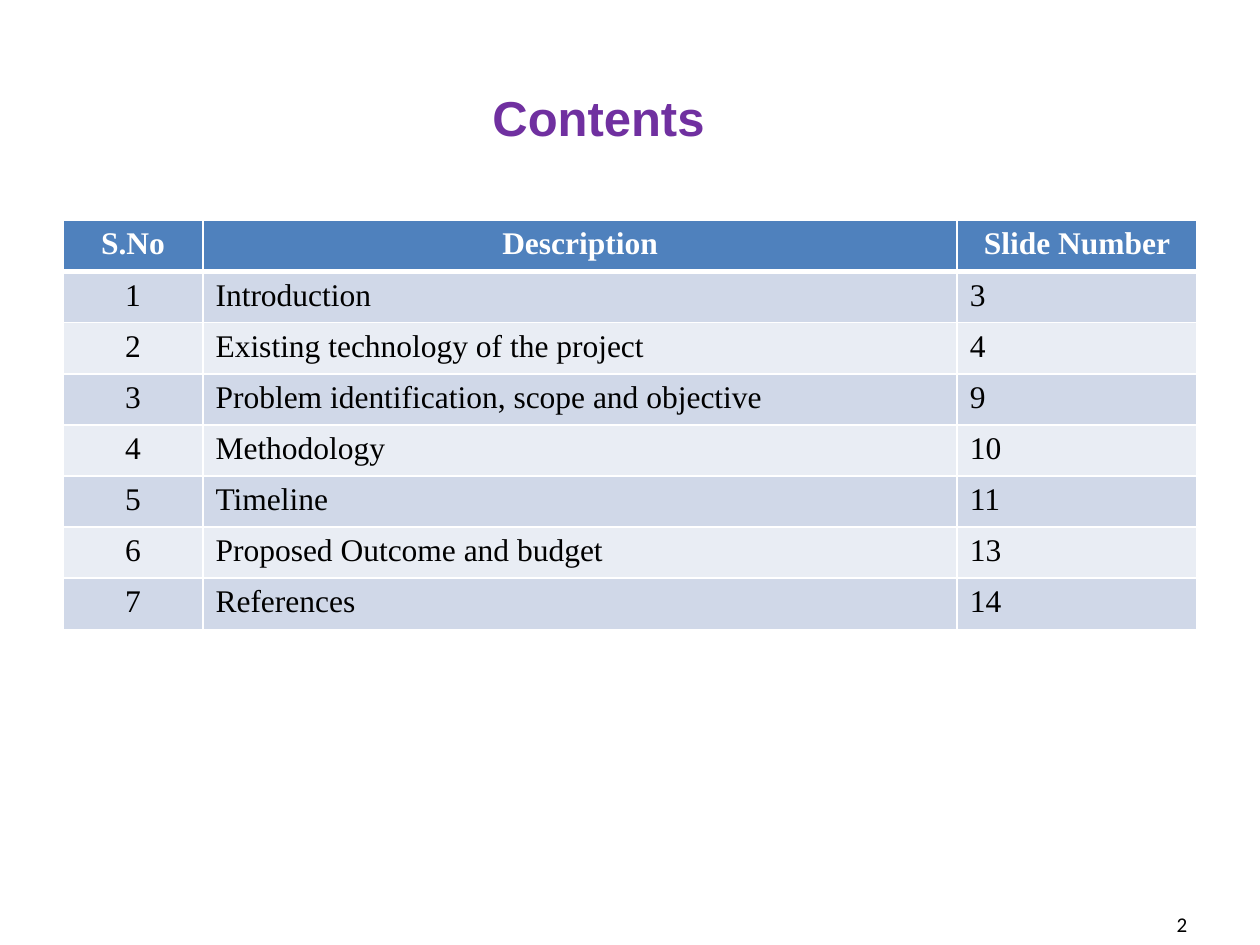
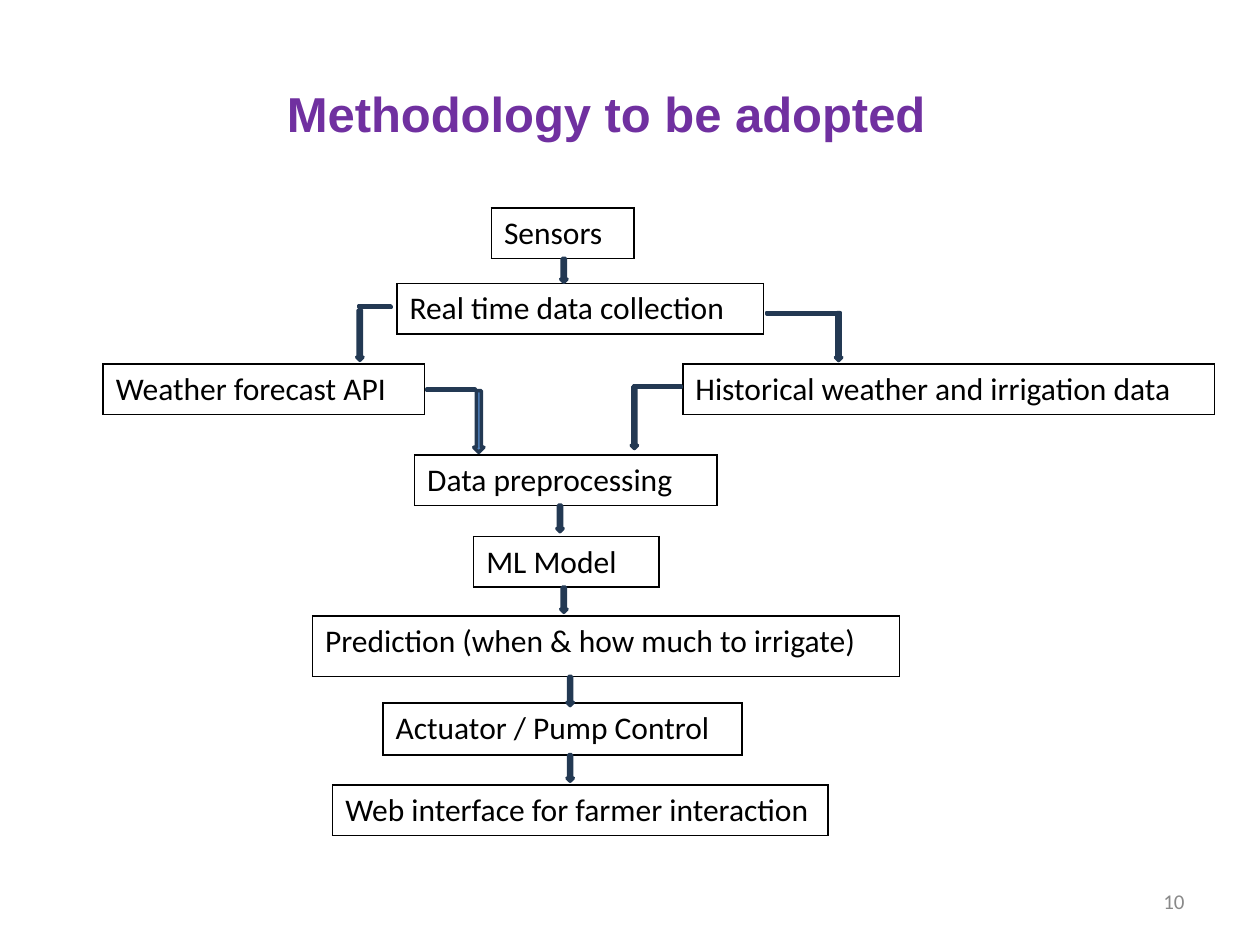
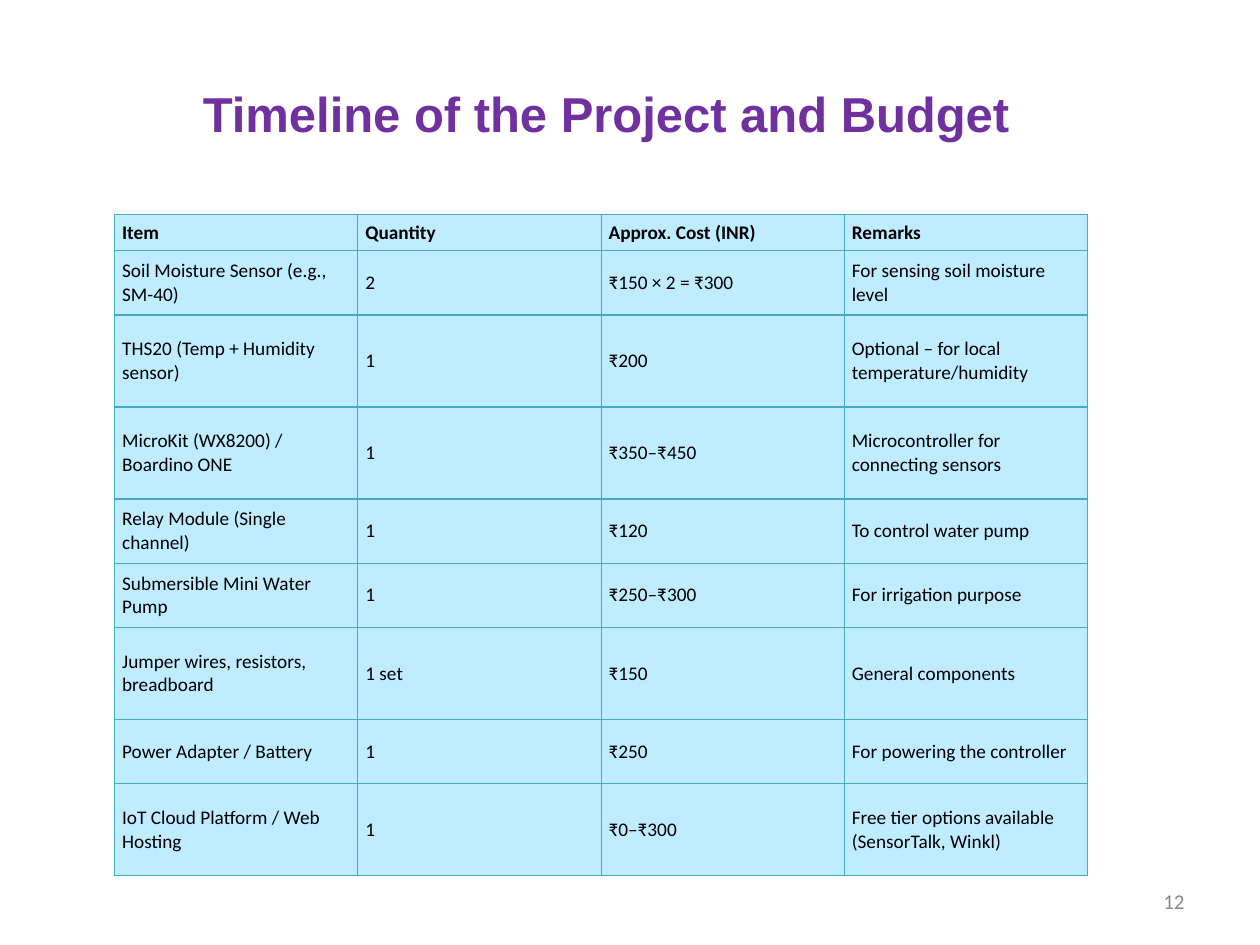
"""Build three slides on a smart irrigation project: contents, methodology and budget."""
from itertools import cycle

from lxml.etree import SubElement
from pptx import Presentation
from pptx.dml.color import RGBColor
from pptx.enum.shapes import MSO_SHAPE as SHAPE
from pptx.enum.text import MSO_ANCHOR as ANCHOR, PP_ALIGN as ALIGN
from pptx.oxml.ns import qn
from pptx.util import Pt

PURPLE, BLACK, WHITE, GREY = "7030A0", "000000", "FFFFFF", "898989"
BLUE, NAVY, TEAL, SKY = "4F81BD", "233953", "46AAC5", "BFECFF"
BANDS = ["D0D8E8", "E9EDF4"]
rgb = RGBColor.from_string


def write(frame, text, size=18, font="Calibri", colour=BLACK, bold=False, align=ALIGN.LEFT):
    para = frame.paragraphs[0]
    para.alignment = align
    span = para.add_run()
    span.text = text
    span.font.size = Pt(size)
    span.font.name = font
    span.font.bold = bold
    span.font.color.rgb = rgb(colour)


def draw_grid(page, left, top, widths, heights, rows, edge, fills=(None,), edge_width=1,
              rule_width=None, margins=(7.2, 3.6), anchor=ANCHOR.TOP, header=None, **style):
    frame = page.shapes.add_table(len(rows), len(widths), Pt(left), Pt(top),
                                  Pt(sum(widths)), Pt(sum(heights)))
    table = frame.table
    table.first_row = table.horz_banding = False
    for column, width in zip(table.columns, widths):
        column.width = Pt(width)
    for index, (row, height, texts, fill) in enumerate(zip(table.rows, heights, rows, fills)):
        row.height = Pt(height)
        for cell, text in zip(row.cells, texts):
            cell.margin_left = cell.margin_right = Pt(margins[0])
            cell.margin_top = cell.margin_bottom = Pt(margins[1])
            cell.vertical_anchor = anchor
            properties = cell._tc.get_or_add_tcPr()
            for side in "LRTB":
                ruled = rule_width and (index, side) in [(0, "B"), (1, "T")]
                width = rule_width if ruled else edge_width
                line = SubElement(properties, qn("a:ln" + side), w=str(Pt(width)))
                SubElement(SubElement(line, qn("a:solidFill")), qn("a:srgbClr"), val=edge)
            if fill:
                cell.fill.solid()
                cell.fill.fore_color.rgb = rgb(fill)
            else:
                cell.fill.background()
            first = header if header and index == 0 else {}
            write(cell.text_frame, text, **{**style, **first})
    return table


deck = Presentation()
deck.slide_width, deck.slide_height = Pt(720), Pt(540)

wide_title, title = (0, 21.6, 684, 90), (50.4, 16.6, 592, 95.8)
low_number, number = (517.7, 511.2, 167.8, 33.8), (516.2, 500.4, 167.8, 28.8)
pages = []
for heading, title_place, label, number_place, number_colour in [
    ("Contents", wide_title, "2", low_number, BLACK),
    ("Methodology to be adopted", title, "10", number, GREY),
    ("Timeline of the Project and Budget", title, "12", number, GREY),
]:
    page = deck.slides.add_slide(deck.slide_layouts[5])
    box = page.shapes.title
    box.left, box.top, box.width, box.height = map(Pt, title_place)
    box.text_frame.vertical_anchor = ANCHOR.MIDDLE
    write(box.text_frame, heading, size=28, font="Arial", colour=PURPLE, bold=True,
          align=ALIGN.CENTER)
    box = page.shapes.add_textbox(*map(Pt, number_place))
    box.text_frame.word_wrap = True
    box.text_frame.vertical_anchor = ANCHOR.MIDDLE
    write(box.text_frame, label, size=12, colour=number_colour, align=ALIGN.RIGHT)
    pages.append(page)
contents_page, method_page, budget_page = pages

contents = [
    ("S.No", "Description", "Slide Number"),
    ("1", "Introduction", "3"),
    ("2", "Existing technology of the project", "4"),
    ("3", "Problem identification, scope and objective", "9"),
    ("4", "Methodology", "10"),
    ("5", "Timeline", "11"),
    ("6", "Proposed Outcome and budget", "13"),
    ("7", "References", "14"),
]
table = draw_grid(contents_page, 36, 126, [80, 431, 137], [29.2] * len(contents), contents,
                  WHITE, fills=[BLUE] + [fill for fill, _ in zip(cycle(BANDS), contents[1:])],
                  rule_width=3, font="Times New Roman",
                  header={"colour": WHITE, "bold": True, "align": ALIGN.CENTER})
for row in table.rows:
    row.cells[0].text_frame.paragraphs[0].alignment = ALIGN.CENTER

for text, left, top, width, height in [
    ("Sensors", 280.8, 118.8, 81.4, 28.8),
    ("Real time data collection", 226.8, 162, 209.5, 28.8),
    ("Weather forecast API", 59, 208.1, 183.6, 28.8),
    ("Historical weather and irrigation data", 390.2, 208.1, 303.8, 28.8),
    ("Data preprocessing", 236.9, 259.9, 172.8, 28.8),
    ("ML Model", 270.7, 306.7, 105.8, 28.8),
    ("Prediction (when & how much to irrigate)", 178.6, 352.1, 335.5, 34.6),
    ("Actuator / Pump Control", 218.9, 401.8, 205.2, 29.5),
    ("Web interface for farmer interaction", 190.1, 448.6, 283, 28.8),
]:
    draw_grid(method_page, left, top, [width], [height], [[text]], BLACK)

thin = 3.6
arrows = [
    (320.4, 147.6, thin, 13.7), (318.2, 288.7, thin, 15.1), (320.4, 335.5, thin, 14.4),
    (324, 386.6, thin, 16.6), (324, 431.3, thin, 15.1), (203.8, 177.1, thin, 28.8),
    (477.4, 178.6, thin, 27.4), (360.7, 221, thin, 35.3), (270.7, 223.2, 5.8, 35.3),
]
bars = [
    (201.6, 173.5, 25.2, thin), (430.6, 177.1, 56.9, thin),
    (239, 221, 37.4, thin), (357.1, 218.9, 37.4, thin),
]
for kind, places in [(SHAPE.MATH_MINUS, bars), (SHAPE.DOWN_ARROW, arrows)]:
    for place in places:
        link = method_page.shapes.add_shape(kind, *map(Pt, place))
        link.shadow.inherit = False
        link.fill.solid()
        link.fill.fore_color.rgb = rgb(BLUE)
        link.line.color.rgb = rgb(NAVY)
        link.line.width = Pt(2)

budget = [
    ("Item", "Quantity", "Approx. Cost (INR)", "Remarks"),
    ("Soil Moisture Sensor (e.g., SM-40)", "2", "₹150 × 2 = ₹300", "For sensing soil moisture level"),
    ("THS20 (Temp + Humidity sensor)", "1", "₹200", "Optional – for local temperature/humidity"),
    ("MicroKit (WX8200) / Boardino ONE", "1", "₹350–₹450", "Microcontroller for connecting sensors"),
    ("Relay Module (Single channel)", "1", "₹120", "To control water pump"),
    ("Submersible Mini Water Pump", "1", "₹250–₹300", "For irrigation purpose"),
    ("Jumper wires, resistors, breadboard", "1 set", "₹150", "General components"),
    ("Power Adapter / Battery", "1", "₹250", "For powering the controller"),
    ("IoT Cloud Platform / Web Hosting", "1", "₹0–₹300", "Free tier options available (SensorTalk, Winkl)"),
]
short, tall = 36.7, 52.6
draw_grid(budget_page, 65.5, 122.4, [139] * 4,
          [20.9, short, tall, tall, short, short, tall, short, tall], budget, TEAL,
          fills=[SKY] * len(budget), edge_width=0.75, margins=(4.3, 2.2),
          anchor=ANCHOR.MIDDLE, size=11, header={"bold": True})

deck.save("out.pptx")
